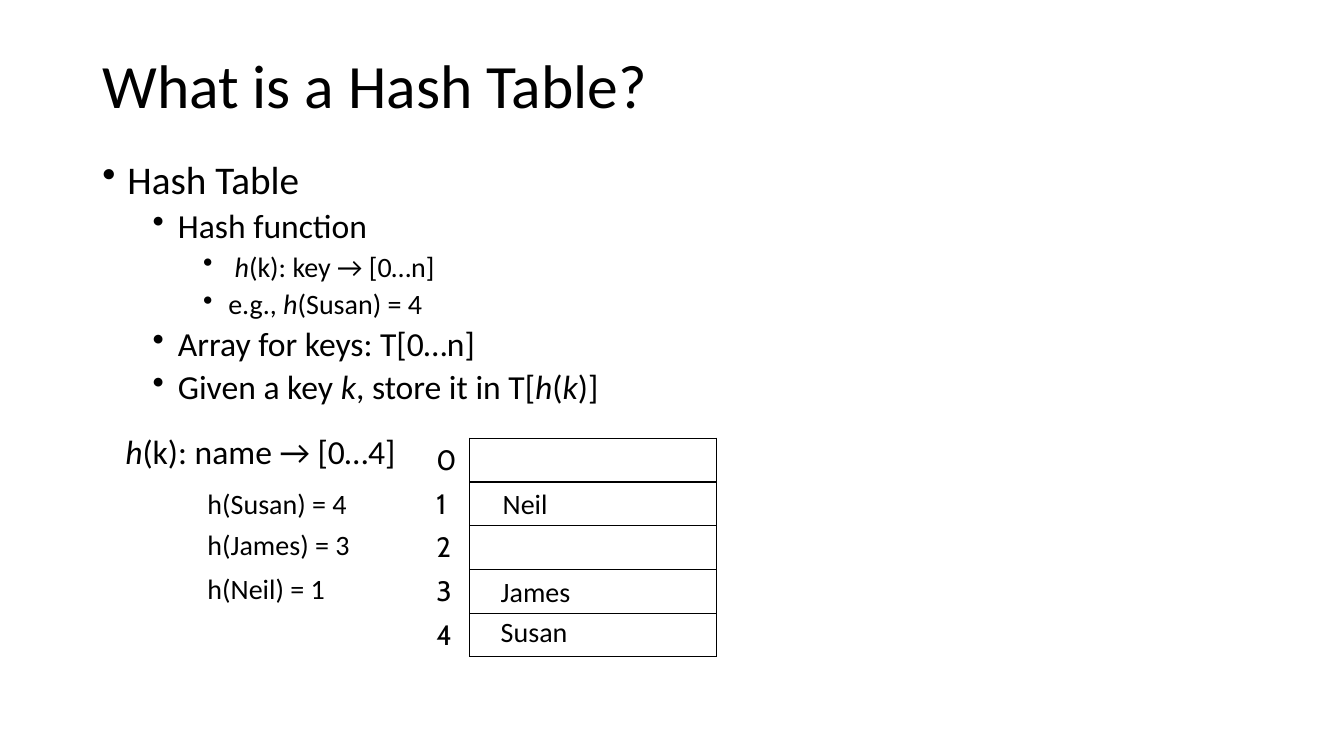
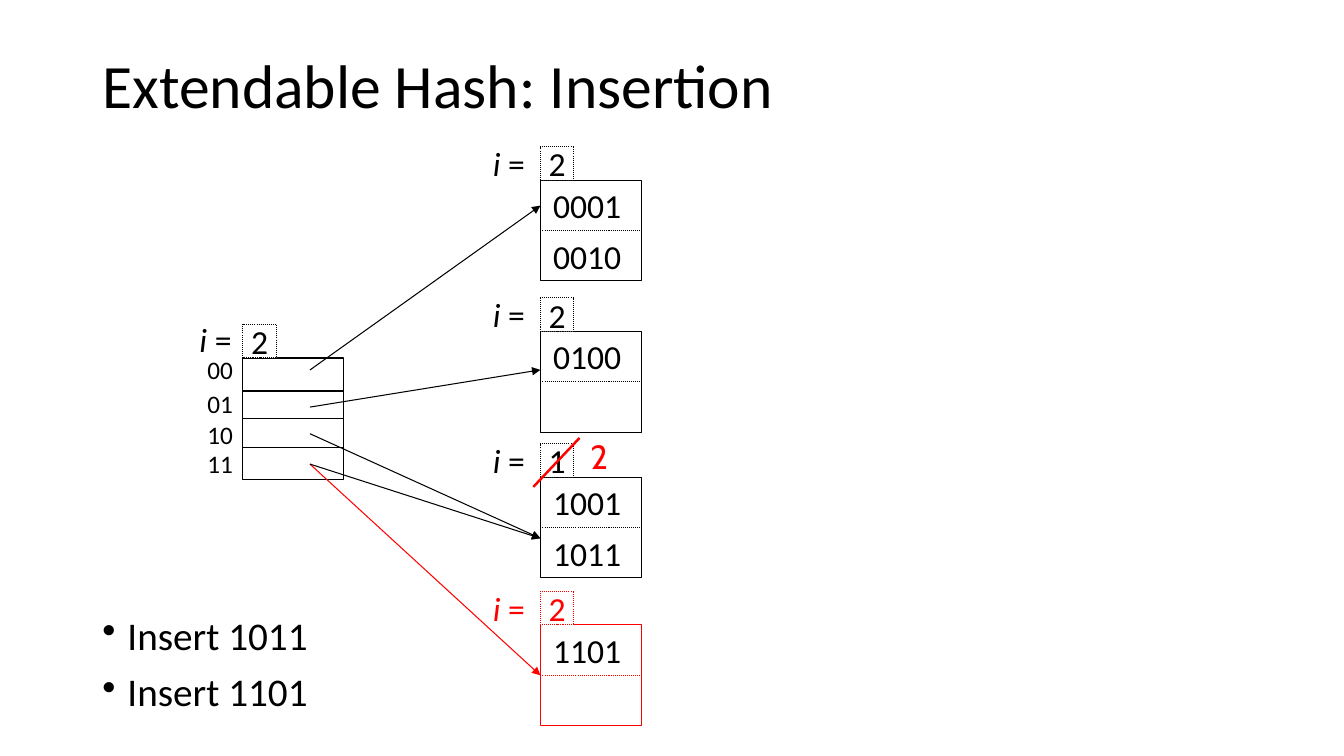
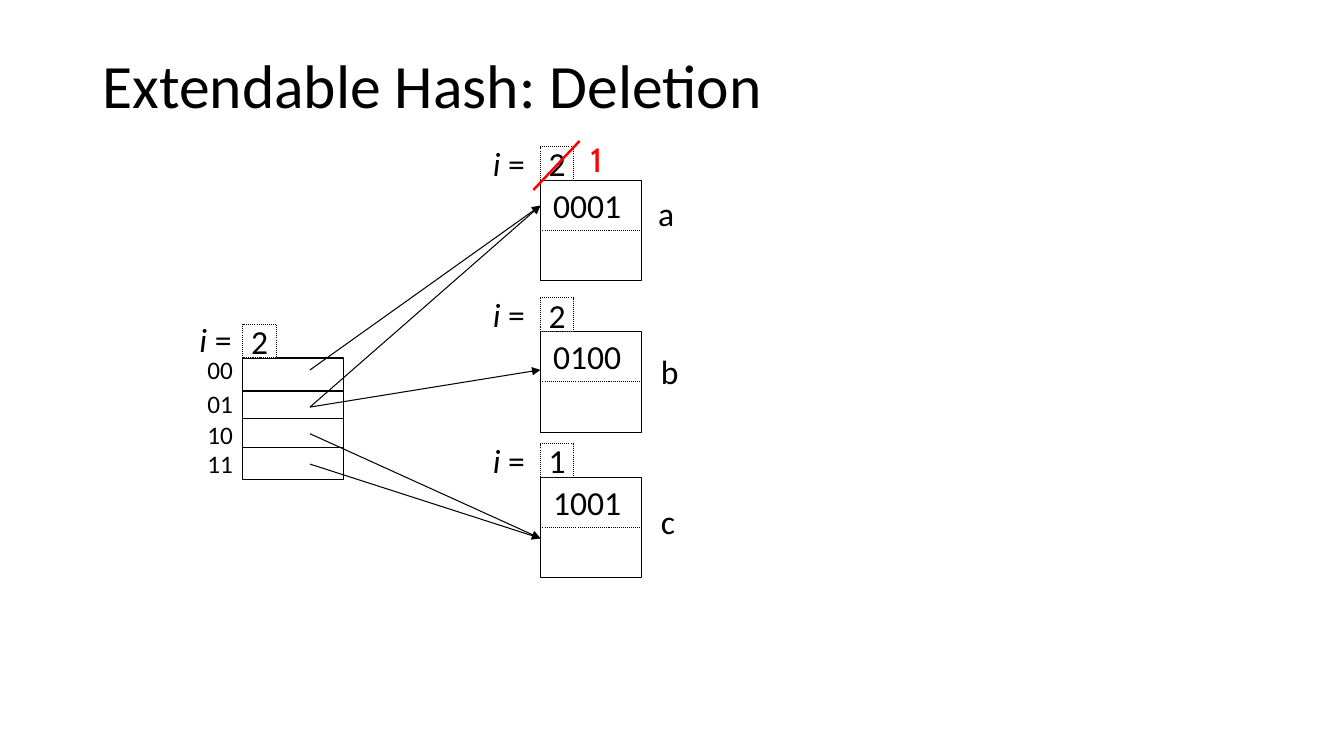
from dataclasses import dataclass
from lxml.etree import SubElement
from pptx import Presentation
from pptx.dml.color import RGBColor
from pptx.enum.dml import MSO_LINE
from pptx.enum.shapes import MSO_CONNECTOR, MSO_SHAPE
from pptx.enum.text import MSO_ANCHOR, MSO_AUTO_SIZE, PP_ALIGN
from pptx.oxml.ns import qn
from pptx.util import Pt


@dataclass(frozen=True)
class Theme:
    ink: RGBColor = RGBColor(0, 0, 0)
    paper: RGBColor = RGBColor(255, 255, 255)
    change: RGBColor = RGBColor(255, 0, 0)
    font: str = "Calibri"
    digit_font: str = "Cabin"
    title: int = 44
    body: tuple = (28, 24, 20)
    label: int = 24
    small: int = 20
    slot: int = 18
    thin: float = 0.75
    rule: float = 1
    strike: float = 1.75


T = Theme()

# Content: *asterisks* mark italics
OUTLINE = [
    (0, "Hash Table"),
    (1, "Hash function"),
    (2, " *h*(k): key → [0…n]"),
    (2, "e.g., *h*(Susan) = 4"),
    (1, "Array for keys: T[0…n]"),
    (1, "Given a key *k*, store it in T[*h*(*k*)]"),
]
MAPPING = " *h*(k): name → [0…4]"
HASHES = [  # text, top, width
    ("h(Susan) = 4", 344.2, 115.2),
    ("h(James) = 3", 373, 117.4),
    ("h(Neil) = 1", 404.6, 99.4),
]
STORED = [  # name, left, top, width
    ("Neil", 352, 344.2, 48.2),
    ("Susan", 350.6, 435.6, 62.6),
    ("James", 350.6, 406.8, 64.8),
]
ROW_COUNT = 5

INSERTION = {
    "title": "Extendable Hash: Insertion",
    "buckets": [  # depth, keys, colour
        ("2", ["0001", "0010"], T.ink),
        ("2", ["0100"], T.ink),
        ("1", ["1001", "1011"], T.ink),
        ("2", ["1101"], T.change),
    ],
    "arrows": [  # slot, bucket, colour
        (0, 0, T.ink), (1, 1, T.ink), (2, 2, T.ink), (3, 3, T.change), (3, 2, T.ink),
    ],
    "new_depth": (2, "2"),
    "names": [],
    "steps": [(0, "Insert 1011"), (0, "Insert 1101")],
}
DELETION = {
    "title": "Extendable Hash: Deletion",
    "buckets": [("2", ["0001"], T.ink), ("2", ["0100"], T.ink), ("1", ["1001"], T.ink)],
    "arrows": [(0, 0, T.ink), (1, 1, T.ink), (1, 0, T.ink), (2, 2, T.ink), (3, 2, T.ink)],
    "new_depth": (0, "1"),
    "names": [("a", 463, 134.6), ("b", 465, 247), ("c", 465, 354.2)],
    "steps": [],
}

# Diagram geometry
DIR_LEFT, DIR_TOP, DIR_HEIGHT = 173.5, 255.7, 87
SLOTS = [  # text, text top, arrow start
    ("00", 249.8, 264.3), ("01", 273.6, 290.8), ("10", 295.9, 309.8), ("11", 316.8, 331.5),
]
SLOT_RULES = [279.2, 298.8, 319.5]
PORT_X = 221.4
BUCKET_LEFT, BUCKET = 386, 72
BUCKET_TOPS = [128.7, 236.7, 340.8, 446.4]
ARROW_DROPS = [18.2, 27.5, 43.7, 36]
TAG = 24


# Text helpers
def fill_paragraph(p, text, size, color=T.ink, font=T.font):
    for i, part in enumerate(text.split("*")):
        if part:
            r = p.add_run()
            r.text = part
            r.font.size, r.font.name = Pt(size), font
            r.font.color.rgb = color
            r.font.italic = i % 2 == 1


def add_box(s, left, top, width, height):
    tf = s.shapes.add_textbox(Pt(left), Pt(top), Pt(width), Pt(height)).text_frame
    tf.word_wrap = True
    return tf


def add_label(s, text, left, top, width, size=T.label, color=T.ink, font=T.font, center=False):
    tf = add_box(s, left, top, width, size * 1.2 + 7.2)
    tf.word_wrap = False
    tf.auto_size = MSO_AUTO_SIZE.SHAPE_TO_FIT_TEXT
    p = tf.paragraphs[0]
    fill_paragraph(p, text, size, color, font)
    if center:
        tf.vertical_anchor = MSO_ANCHOR.MIDDLE
        p.alignment = PP_ALIGN.CENTER


def add_bullets(s, items, top, height):
    tf = add_box(s, 66, top, 828, height)
    for i, (level, text) in enumerate(items):
        p = tf.add_paragraph() if i else tf.paragraphs[0]
        p.level = level
        p.line_spacing = 0.9
        p.space_before = Pt(5 if level else 10)
        pPr = p._p.get_or_add_pPr()
        pPr.set("marL", str(Pt(18 + 36 * level)))
        pPr.set("indent", str(Pt(-18)))
        SubElement(pPr, qn("a:buChar")).set("char", "•")
        fill_paragraph(p, text, T.body[level])


def new_slide(title):
    s = prs.slides.add_slide(prs.slide_layouts[6])
    tf = add_box(s, 66, 23.9, 828, 78.3)
    tf.vertical_anchor = MSO_ANCHOR.MIDDLE
    tf.paragraphs[0].line_spacing = 0.9
    fill_paragraph(tf.paragraphs[0], title, T.title)
    return s


# Drawing helpers
def add_line(s, x1, y1, x2, y2, color=T.ink, width=T.thin, dotted=False, arrow=False):
    line = s.shapes.add_connector(MSO_CONNECTOR.STRAIGHT, Pt(x1), Pt(y1), Pt(x2), Pt(y2))
    line.line.color.rgb, line.line.width = color, Pt(width)
    if dotted:
        line.line.dash_style = MSO_LINE.ROUND_DOT
    if arrow:
        SubElement(line.line._get_or_add_ln(), qn("a:tailEnd")).set("type", "triangle")
    SubElement(line._element.spPr, qn("a:effectLst"))


def add_rect(s, left, top, width, height, color=T.ink):
    rect = s.shapes.add_shape(MSO_SHAPE.RECTANGLE, Pt(left), Pt(top), Pt(width), Pt(height))
    rect.shadow.inherit = False
    rect.fill.solid()
    rect.fill.fore_color.rgb = T.paper
    rect.line.color.rgb, rect.line.width = color, Pt(T.thin)
    return rect


def add_block(s, left, top, height, depth, color=T.ink):
    add_rect(s, left, top, BUCKET, height, color)
    tag = add_rect(s, left, top - TAG, TAG, TAG, color)
    tag.line.dash_style = MSO_LINE.ROUND_DOT
    tf = tag.text_frame
    tf.word_wrap = False
    tf.vertical_anchor = MSO_ANCHOR.MIDDLE
    tf.paragraphs[0].alignment = PP_ALIGN.CENTER
    fill_paragraph(tf.paragraphs[0], depth, T.label, color)


def add_directory(s):
    add_block(s, DIR_LEFT, DIR_TOP, DIR_HEIGHT, "2")
    add_label(s, "*i* =", 135.4, 223.9, 37.4)
    for text, top, _ in SLOTS:
        add_label(s, text, 141.1, top, 33.1, T.slot)
    for y in SLOT_RULES:
        add_line(s, DIR_LEFT, y, DIR_LEFT + BUCKET, y, width=T.rule)


def add_bucket(s, top, depth, keys, color):
    add_block(s, BUCKET_LEFT, top, BUCKET, depth, color)
    middle = top + BUCKET / 2
    add_line(s, BUCKET_LEFT, middle, BUCKET_LEFT + BUCKET, middle, color, dotted=True)
    add_label(s, "*i* =", 344.9, top - 30.3, 37.4, color=color)
    for i, key in enumerate(keys):
        add_label(s, key, BUCKET_LEFT + 1.7, top + i * BUCKET / 2, 63.4, center=True)


def set_borders(cell, visible):
    tcPr = cell._tc.get_or_add_tcPr()
    for side in "LRTB":
        ln = SubElement(tcPr, qn("a:ln" + side), w=str(Pt(T.rule)))
        if side in visible:
            fill = SubElement(ln, qn("a:solidFill"))
            SubElement(fill, qn("a:srgbClr"), val=str(T.ink))
        else:
            SubElement(ln, qn("a:noFill"))
    cell.fill.background()


def add_hash_array(s):
    row_height, widths = 31.25, (31, 176.4)
    table = s.shapes.add_table(ROW_COUNT, 2, Pt(304.5), Pt(313), Pt(sum(widths)),
                               Pt(row_height * ROW_COUNT)).table
    table.first_row = table.horz_banding = False
    for column, width in zip(table.columns, widths):
        column.width = Pt(width)
    for i, row in enumerate(table.rows):
        row.height = Pt(row_height)
        index, value = row.cells
        fill_paragraph(index.text_frame.paragraphs[0], str(i), T.small, font=T.digit_font)
        set_borders(index, "R")
        set_borders(value, "LRTB")


def add_hash_slide(content):
    s = new_slide(content["title"])
    add_directory(s)
    for top, bucket in zip(BUCKET_TOPS, content["buckets"]):
        add_bucket(s, top, *bucket)
    for slot, bucket, color in content["arrows"]:
        end = BUCKET_TOPS[bucket] + ARROW_DROPS[bucket]
        add_line(s, PORT_X, SLOTS[slot][2], BUCKET_LEFT, end, color, arrow=True)
    for name, left, top in content["names"]:
        add_label(s, name, left, top, 27.5)
    # Depth that changes
    bucket, depth = content["new_depth"]
    top = BUCKET_TOPS[bucket]
    add_label(s, depth, 414.7, top - 32.8, 28, color=T.change, font=T.digit_font)
    add_line(s, 381, top + 7, 414, top - 28, T.change, T.strike)
    if content["steps"]:
        add_bullets(s, content["steps"], 437, 90)


prs = Presentation()
prs.slide_width, prs.slide_height = Pt(960), Pt(540)

# Slide 1: hash table
s = new_slide("What is a Hash Table?")
add_bullets(s, OUTLINE, 110.9, 375.8)
for text, top, width in HASHES:
    add_label(s, text, 141.1, top, width, T.small)
add_hash_array(s)
for name, left, top, width in STORED:
    add_label(s, name, left, top, width, T.small)
add_label(s, MAPPING, 77, 304.6, 216.7)

# Slides 2 and 3: extendable hash
for content in (INSERTION, DELETION):
    add_hash_slide(content)

prs.save("out.pptx")
